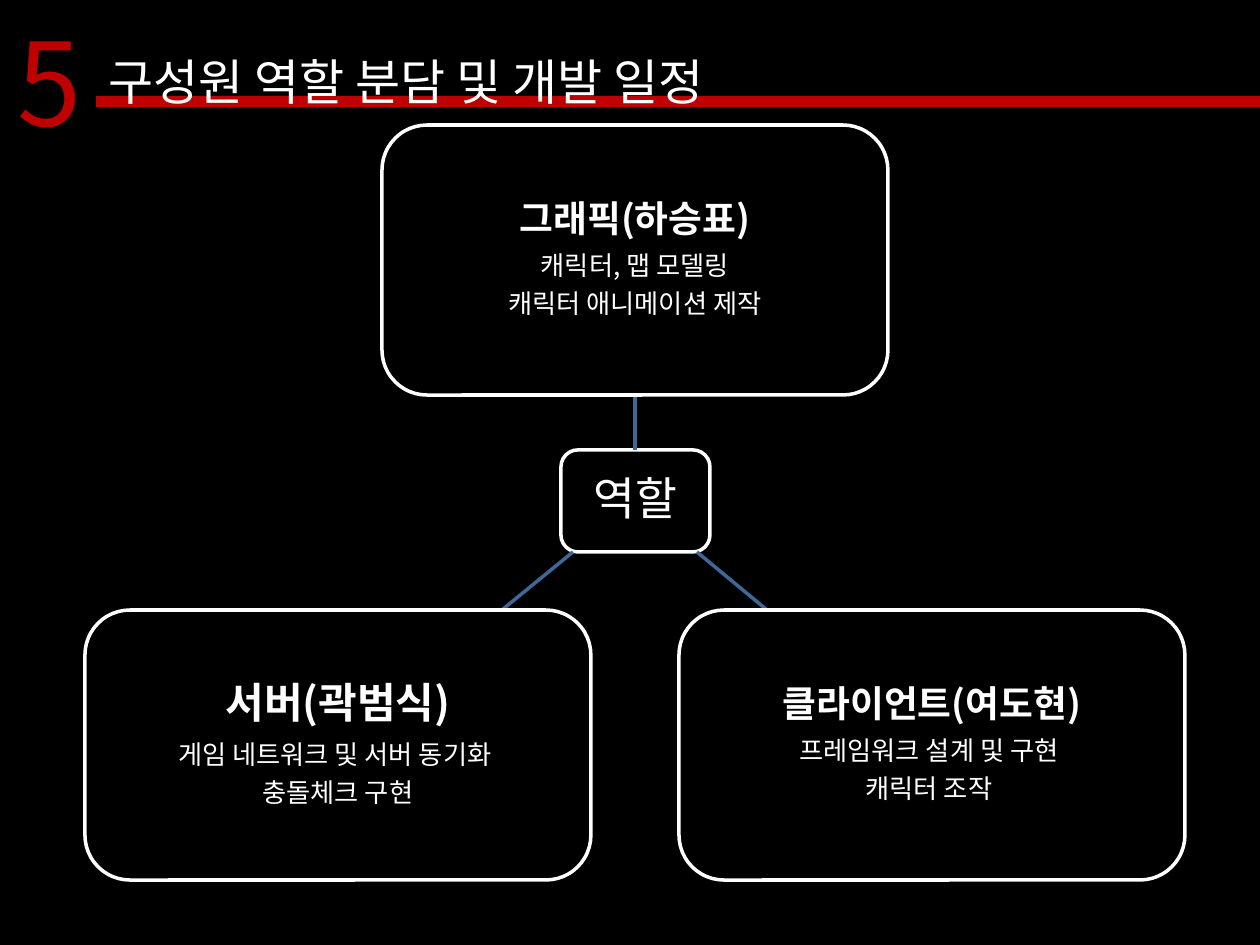
import pptx
import pptx.util
import pptx.dml.color
import pptx.enum.shapes
import pptx.enum.text
import pptx.oxml
import pptx.oxml.ns

RGB = pptx.dml.color.RGBColor
BLACK = RGB(0x00, 0x00, 0x00)
WHITE = RGB(0xFF, 0xFF, 0xFF)
RED = RGB(0xC0, 0x00, 0x00)
BLUE = RGB(0x3F, 0x67, 0x97)
SANS = "Noto Sans CJK KR"
SERIF = "Times New Roman"
SHAPE = pptx.enum.shapes.MSO_SHAPE
ALIGN = pptx.enum.text.PP_ALIGN
ANCHOR = pptx.enum.text.MSO_ANCHOR
qn = pptx.oxml.ns.qn

W, H = 1260, 945
NUMBER = "5"
TITLE = "구성원 역할 분담 및 개발 일정"
HUB = [("역할", 26, False)]
HUB_BOX = (561, 450, 149, 102)
ROLE_W, ROLE_H = 506, 270
ROLES = [
    ("그래픽(하승표)", 21, ["캐릭터, 맵 모델링", "캐릭터 애니메이션 제작"],
     (382, 125), (635, 450, 635, 394), 8),
    ("클라이언트(여도현)", 21, ["프레임워크 설계 및 구현 ", "캐릭터 조작 "],
     (679, 610), (697, 552, 767, 610), 8),
    ("서버(곽범식)", 24, ["게임 네트워크 및 서버 동기화 ", "충돌체크 구현"],
     (85, 610), (573, 552, 502, 610), 9),
]


def px(n):
    return pptx.util.Emu(round(n * 914400 / 126))


def add_run(p, text, size, color, font, bold=False):
    r = p.add_run()
    r.text = text
    r.font.size = pptx.util.Pt(size)
    r.font.color.rgb = color
    r.font.name = font
    r.font.bold = bold


def set_east_asian(sp):
    for latin in list(sp.element.iter(qn("a:latin"))):
        ea = pptx.oxml.parse_xml("<a:ea %s/>" % pptx.oxml.ns.nsdecls("a"))
        ea.set("typeface", SANS)
        latin.addnext(ea)


def add_block(s, kind, box, fill):
    sp = s.shapes.add_shape(kind, *map(px, box))
    sp.shadow.inherit = False
    sp.fill.solid()
    sp.fill.fore_color.rgb = fill
    sp.line.fill.background()
    return sp


def add_box(s, box, lines, inset):
    sp = add_block(s, SHAPE.ROUNDED_RECTANGLE, box, BLACK)
    sp.line.color.rgb = WHITE
    sp.line.width = pptx.util.Pt(2)
    tf = sp.text_frame
    tf.word_wrap = True
    tf.vertical_anchor = ANCHOR.MIDDLE
    tf.margin_left = tf.margin_right = px(inset)
    tf.margin_top = tf.margin_bottom = px(inset)
    for i, (text, size, bold) in enumerate(lines):
        p = tf.add_paragraph() if i else tf.paragraphs[0]
        p.alignment = ALIGN.CENTER
        p.line_spacing = 0.9
        p.space_after = pptx.util.Pt(0)
        add_run(p, text, size, WHITE, SANS, bold)
    for after in sp.element.iter(qn("a:spcAft")):
        after.remove(after[0])
        pct = pptx.oxml.parse_xml(
            '<a:spcPct %s val="35000"/>' % pptx.oxml.ns.nsdecls("a"))
        after.append(pct)
    set_east_asian(sp)


def add_link(s, ends):
    line = s.shapes.add_connector(
        pptx.enum.shapes.MSO_CONNECTOR.STRAIGHT, *map(px, ends))
    line.line.color.rgb = BLUE
    line.line.width = pptx.util.Pt(2)
    line.element.spPr.append(pptx.oxml.parse_xml(
        "<a:effectLst %s/>" % pptx.oxml.ns.nsdecls("a")))


def set_heading(sp, box, text, size, color, font):
    sp.left, sp.top, sp.width, sp.height = map(px, box)
    tf = sp.text_frame
    tf.word_wrap = False
    tf.vertical_anchor = ANCHOR.TOP
    p = tf.paragraphs[0]
    p.alignment = ALIGN.LEFT
    add_run(p, text, size, color, font)
    set_east_asian(sp)


def main():
    prs = pptx.Presentation()
    prs.slide_width, prs.slide_height = px(W), px(H)
    s = prs.slides.add_slide(prs.slide_layouts[5])

    add_block(s, SHAPE.RECTANGLE, (0, 0, W, H), BLACK)
    number = s.shapes.add_textbox(0, 0, 0, 0)
    set_heading(number, (5, 5, 89, 158), NUMBER, 66, RED, SANS)
    add_block(s, SHAPE.RECTANGLE, (96, 96, W - 96, 11), RED)
    title = s.shapes.title
    set_heading(title, (96, 45, 693, 72), TITLE, 28, WHITE, SERIF)
    title.element.getparent().append(title.element)

    add_box(s, HUB_BOX, HUB, 9)
    for name, size, tasks, corner, ends, inset in ROLES:
        add_link(s, ends)
        lines = [(name, size, True)] + [(task, 15, False) for task in tasks]
        add_box(s, corner + (ROLE_W, ROLE_H), lines, inset)

    prs.save("out.pptx")


if __name__ == "__main__":
    main()
